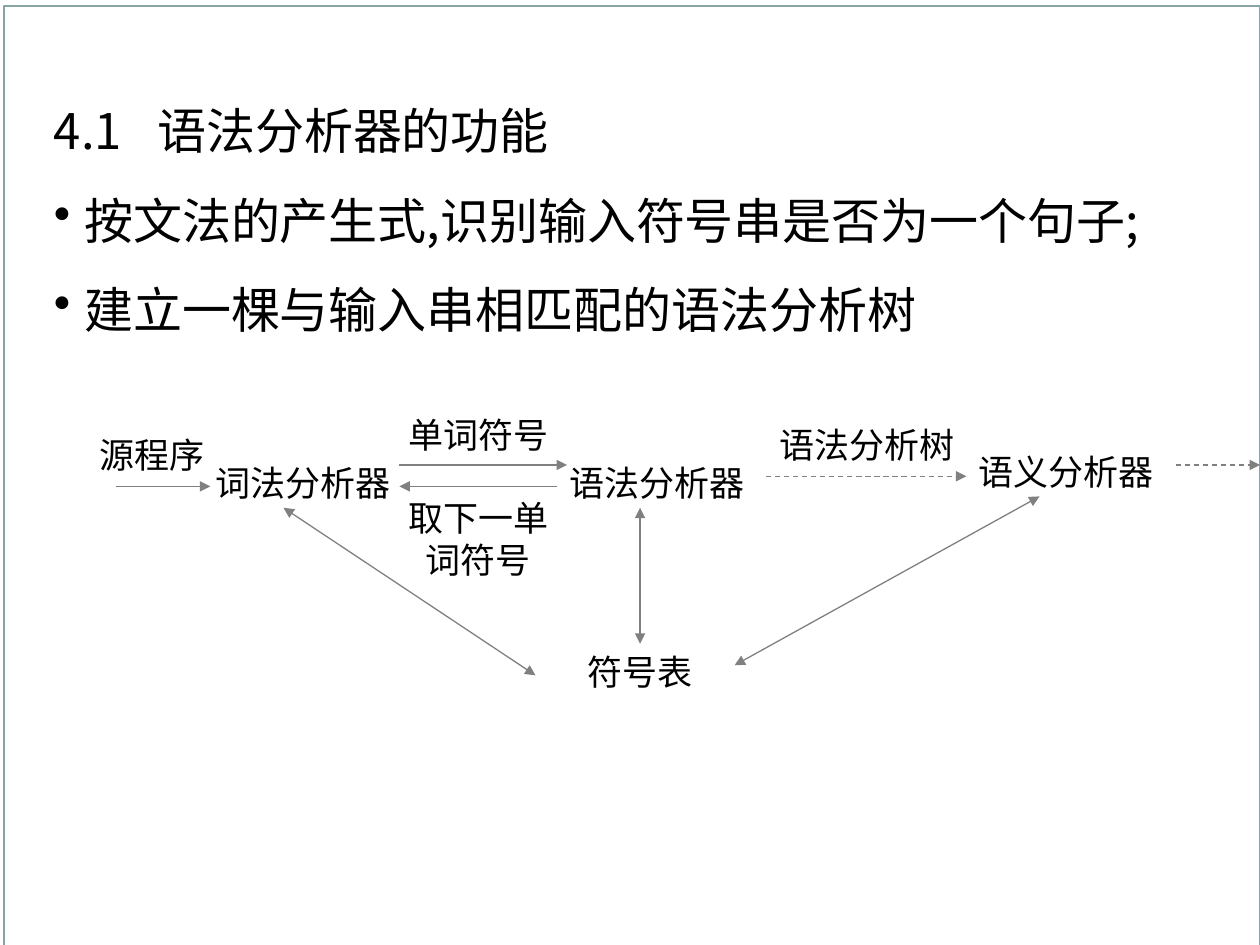
from lxml import etree
from pptx import Presentation, util as u
from pptx.enum import dml, shapes, text
from pptx.dml.color import RGBColor
from pptx.oxml import ns

HUES = {"paper": "FFFFFF", "ink": "000000", "frame": "89A4A7", "arrow": "808080"}


def hue(name):
    return RGBColor.from_string(HUES[name])


def add(parent, tag, **attrs):
    return etree.SubElement(parent, ns.qn(tag), attrs)


class Board:
    head = "Noto Sans CJK SC"
    body = "Times New Roman"

    def __init__(self, slide):
        self.slide = slide

    def rect(self, x, y, w, h, line=None):
        box = self.slide.shapes.add_shape(
            shapes.MSO_SHAPE.RECTANGLE, *map(u.Inches, (x, y, w, h)))
        box.shadow.inherit = False
        box.fill.solid()
        box.fill.fore_color.rgb = hue("paper")
        if line:
            box.line.color.rgb = hue(line)
            box.line.width = u.Pt(1)
        else:
            box.line.fill.background()
        return box

    def frame(self, box, side, edge):
        tf = box.text_frame
        tf.word_wrap = True
        tf.vertical_anchor = text.MSO_ANCHOR.TOP
        tf.margin_left = tf.margin_right = u.Inches(side)
        tf.margin_top = tf.margin_bottom = u.Inches(edge)
        return tf

    def style(self, para, size, face, align):
        para.alignment = align
        para.font.size = u.Pt(size)
        para.font.name = face
        para.font.color.rgb = hue("ink")

    def outline(self, x, y, w, h, title, points):
        tf = self.frame(self.rect(x, y, w, h), 0.1, 0.05)
        for i, words in enumerate([title] + points):
            para = tf.paragraphs[0] if i == 0 else tf.add_paragraph()
            para.text = words
            props = para._p.get_or_add_pPr()
            if i:
                para.space_before = u.Pt(17.5)
                props.set("marL", str(u.Inches(0.24)))
                props.set("indent", str(-u.Inches(0.24)))
                add(props, "a:buChar", char="•")
            else:
                tabs = add(props, "a:tabLst")
                add(tabs, "a:tab", pos=str(u.Inches(0.82)), algn="l")
            self.style(para, 28, self.head, text.PP_ALIGN.LEFT)

    def node(self, x, y, w, words, side=0.1, align=text.PP_ALIGN.LEFT):
        box = self.rect(x, y, w, 0.44)
        para = self.frame(box, side, 0.05).paragraphs[0]
        para.text = words
        self.style(para, 20, self.body, align)
        return box

    def label(self, x, y, w, words, h=0.33):
        box = self.slide.shapes.add_textbox(*map(u.Inches, (x, y, w, h)))
        para = self.frame(box, 0, 0).paragraphs[0]
        para.text = words
        self.style(para, 20, self.body, text.PP_ALIGN.CENTER)

    def arrow(self, x1, y1, x2, y2, dash=False, both=False):
        link = self.slide.shapes.add_connector(
            shapes.MSO_CONNECTOR.STRAIGHT, *map(u.Inches, (x1, y1, x2, y2)))
        link.line.color.rgb = hue("arrow")
        link.line.width = u.Pt(0.75)
        if dash:
            link.line.dash_style = dml.MSO_LINE.DASH
        ln = link.line._get_or_add_ln()
        if both:
            add(ln, "a:headEnd", type="triangle")
        add(ln, "a:tailEnd", type="triangle")
        add(link._element.spPr, "a:effectLst")
        return link


def main():
    deck = Presentation()
    deck.slide_width, deck.slide_height = u.Inches(10), u.Inches(7.5)
    board = Board(deck.slides.add_slide(deck.slide_layouts[6]))

    board.rect(0.03, 0.05, 9.97, 7.46, "frame")
    board.outline(0.33, 0.75, 9.55, 1.99, "4.1\t语法分析器的功能", [
        "按文法的产生式,识别输入符号串是否为一个句子;",
        "建立一棵与输入串相匹配的语法分析树"])

    board.node(1.67, 3.61, 1.5, "词法分析器", 0.04)
    board.node(4.42, 3.61, 1.67, "语法分析器")
    board.node(7.67, 3.53, 1.67, "语义分析器")

    board.label(0.75, 3.44, 0.92, "源程序")
    board.label(3.17, 3.28, 1.25, "单词符号")
    board.label(3.17, 3.94, 1.25, "取下一单词符号", 0.67)
    board.label(6.17, 3.36, 1.42, "语法分析树")

    board.arrow(0.92, 3.86, 1.67, 3.86)
    board.arrow(3.17, 3.69, 4.5, 3.69)
    board.arrow(4.42, 3.86, 3.17, 3.86)
    board.arrow(6.08, 3.78, 7.67, 3.78, dash=True)
    board.arrow(9.33, 3.69, 10, 3.69, dash=True)

    table = board.node(4.33, 5.11, 1.5, "符号表", 0.04, text.PP_ALIGN.CENTER)
    board.arrow(2.25, 4.03, 4.25, 5.36, both=True)
    board.arrow(5.08, 4.03, 5.08, 5.11, both=True).end_connect(table, 0)
    board.arrow(5.83, 5.28, 8.25, 3.94, both=True)

    deck.save("out.pptx")


if __name__ == "__main__":
    main()
